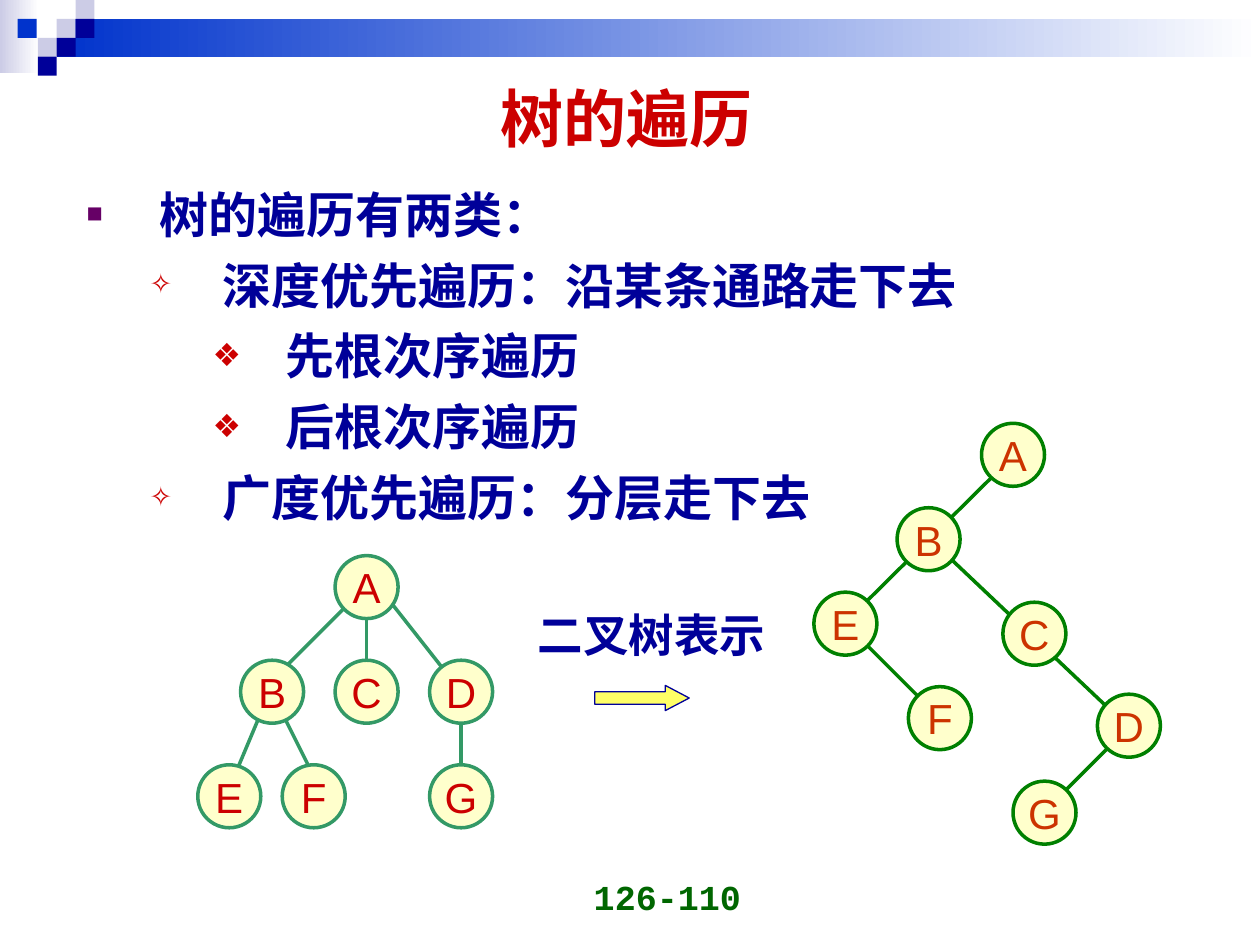
from dataclasses import dataclass

from lxml import etree
from pptx import Presentation
from pptx.dml.color import RGBColor
from pptx.enum.shapes import MSO_CONNECTOR, MSO_SHAPE
from pptx.enum.text import MSO_ANCHOR, PP_ALIGN
from pptx.oxml.ns import qn
from pptx.shapes.autoshape import Shape
from pptx.slide import Slide
from pptx.text.text import TextFrame, _Paragraph
from pptx.util import Inches, Pt

RECT, OVAL, ARROW = MSO_SHAPE.RECTANGLE, MSO_SHAPE.OVAL, MSO_SHAPE.RIGHT_ARROW
STRAIGHT = MSO_CONNECTOR.STRAIGHT
TOP, MIDDLE, BOTTOM = MSO_ANCHOR.TOP, MSO_ANCHOR.MIDDLE, MSO_ANCHOR.BOTTOM
LEFT, CENTER, RIGHT = PP_ALIGN.LEFT, PP_ALIGN.CENTER, PP_ALIGN.RIGHT

WHITE = RGBColor(0xFF, 0xFF, 0xFF)
LILAC = RGBColor(0xCC, 0xCC, 0xE6)
BLUE = RGBColor(0x00, 0x33, 0xCC)
NAVY = RGBColor(0x00, 0x00, 0x99)
RED = RGBColor(0xCC, 0x00, 0x00)
RUST = RGBColor(0xCC, 0x33, 0x00)
PURPLE = RGBColor(0x66, 0x00, 0x66)
FOREST = RGBColor(0x00, 0x66, 0x00)
GREEN = RGBColor(0x00, 0x80, 0x00)
JADE = RGBColor(0x33, 0x99, 0x66)
CREAM = RGBColor(0xFF, 0xFF, 0xCC)
YELLOW = RGBColor(0xFF, 0xFF, 0x66)

SANS, SERIF, MONO = "Arial", "Times New Roman", "Courier New"
NODE = 0.5
TILE = 0.15

Box = tuple[float, float, float, float]


@dataclass
class Style:
    size: float
    face: str
    color: RGBColor
    bold: bool = True


@dataclass
class Mark:
    char: str
    color: RGBColor
    scale: int
    face: str


@dataclass
class Tree:
    nodes: dict[str, tuple[float, float]]
    edges: list[Box]
    line: RGBColor
    text: RGBColor


MARKS = [
    Mark("■", PURPLE, 55, SANS),
    Mark("✧", RED, 55, SERIF),
    Mark("❖", RED, 65, SERIF),
]

POINTS = [
    (0, "树的遍历有两类："),
    (1, "深度优先遍历：沿某条通路走下去"),
    (2, "先根次序遍历"),
    (2, "后根次序遍历"),
    (1, "广度优先遍历：分层走下去"),
]

TILES = [
    (0.45, 0.15, LILAC), (0.6, 0, LILAC), (0.6, 0.15, NAVY), (0.3, 0.3, LILAC),
    (0.14, 0.15, BLUE), (0.45, 0.3, NAVY), (0.3, 0.45, NAVY),
]

TREES = [
    Tree(
        {"A": (2.66, 4.41), "B": (1.91, 5.24), "C": (2.66, 5.24), "D": (3.41, 5.24),
         "E": (1.57, 6.07), "F": (2.24, 6.07), "G": (3.41, 6.07)},
        [(3.66, 5.66, 3.66, 6.24), (3.07, 4.74, 3.66, 5.49), (2.24, 5.66, 2.49, 6.16),
         (2.07, 5.66, 1.86, 6.16), (2.74, 4.82, 2.24, 5.32), (2.91, 4.82, 2.91, 5.32)],
        JADE, RED,
    ),
    Tree(
        {"A": (7.79, 3.36), "B": (7.12, 4.03), "C": (7.96, 4.78), "D": (8.71, 5.51),
         "E": (6.46, 4.7), "F": (7.21, 5.45), "G": (8.04, 6.2)},
        [(6.79, 5.03, 7.29, 5.53), (8.87, 5.86, 8.37, 6.36),
         (7.96, 3.7, 6.79, 4.86), (7.54, 4.43, 8.87, 5.69)],
        GREEN, RUST,
    ),
]


def dress(para: _Paragraph, style: Style, align: PP_ALIGN = LEFT) -> None:
    para.alignment = align
    for run in para.runs:
        font = run.font
        font.size, font.name, font.bold = Pt(style.size), style.face, style.bold
        font.color.rgb = style.color


def write(frame: TextFrame, text: str, style: Style, align: PP_ALIGN, anchor: MSO_ANCHOR) -> None:
    frame.text = text
    frame.vertical_anchor = anchor
    dress(frame.paragraphs[0], style, align)


def add_text(slide: Slide, box: Box, text: str, style: Style, align: PP_ALIGN, anchor: MSO_ANCHOR) -> None:
    frame = slide.shapes.add_textbox(*map(Inches, box)).text_frame
    frame.word_wrap = True
    write(frame, text, style, align, anchor)


def add_form(slide: Slide, kind: MSO_SHAPE, box: Box, fill: RGBColor,
             line: RGBColor | None = None, width: float = 2) -> Shape:
    form = slide.shapes.add_shape(kind, *map(Inches, box))
    form.shadow.inherit = False
    form.fill.solid()
    form.fill.fore_color.rgb = fill
    if line is None:
        form.line.fill.background()
    else:
        form.line.color.rgb = line
        form.line.width = Pt(width)
    return form


def add_fade(slide: Slide, box: Box, color: RGBColor) -> None:
    fill = add_form(slide, RECT, box, color).fill
    fill.gradient()
    fill.gradient_angle = 0
    for stop, tint in zip(fill.gradient_stops, (color, WHITE)):
        stop.color.rgb = tint


def add_edge(slide: Slide, ends: Box, color: RGBColor) -> None:
    edge = slide.shapes.add_connector(STRAIGHT, *map(Inches, ends))
    edge.line.color.rgb = color
    edge.line.width = Pt(2)
    etree.SubElement(edge._element.spPr, qn("a:effectLst"))


def add_tree(slide: Slide, tree: Tree) -> None:
    for ends in tree.edges:
        add_edge(slide, ends, tree.line)
    style = Style(24, SANS, tree.text, False)
    for name, (x, y) in tree.nodes.items():
        frame = add_form(slide, OVAL, (x, y, NODE, NODE), CREAM, tree.line).text_frame
        frame.margin_left = frame.margin_right = frame.margin_top = frame.margin_bottom = 0
        frame.word_wrap = False
        write(frame, name, style, CENTER, MIDDLE)


def add_mark(para: _Paragraph, level: int, mark: Mark) -> None:
    props = para._p.get_or_add_pPr()
    props.set("marL", str(Inches(0.58 + 0.5 * level)))
    props.set("indent", str(Inches(-0.58)))
    tint = etree.SubElement(props, qn("a:buClr"))
    etree.SubElement(tint, qn("a:srgbClr"), val=str(mark.color))
    etree.SubElement(props, qn("a:buSzPct"), val=str(mark.scale * 1000))
    etree.SubElement(props, qn("a:buFont"), typeface=SANS)
    etree.SubElement(props, qn("a:buChar"), char=mark.char)


def add_points(slide: Slide, box: Box) -> None:
    frame = slide.shapes.add_textbox(*map(Inches, box)).text_frame
    frame.word_wrap = True
    frame.text = "\n".join(text for _, text in POINTS)
    for i, (para, (level, _)) in enumerate(zip(frame.paragraphs, POINTS)):
        mark = MARKS[level]
        add_mark(para, level, mark)
        para.level = level
        para.line_spacing = 1.05
        if i:
            para.space_before = Pt(5.2)
        dress(para, Style(28, mark.face, NAVY))


def main() -> None:
    deck = Presentation()
    deck.slide_width, deck.slide_height = Inches(10), Inches(7.5)
    slide = deck.slides.add_slide(deck.slide_layouts[5])

    add_fade(slide, (0, 0, 0.31, 0.58), LILAC)
    add_fade(slide, (0.45, 0.15, 9.55, 0.3), BLUE)
    for x, y, color in TILES:
        add_form(slide, RECT, (x, y, TILE, TILE), color)

    title = slide.shapes.title
    title.left, title.top, title.width, title.height = map(Inches, (0.47, 0.44, 9, 0.98))
    write(title.text_frame, "树的遍历", Style(36, SERIF, RED), CENTER, MIDDLE)

    add_points(slide, (0.59, 1.39, 9, 6.02))
    for tree in TREES:
        add_tree(slide, tree)
    arrow = add_form(slide, ARROW, (4.72, 5.44, 0.75, 0.2), YELLOW, NAVY, 0.75)
    arrow.adjustments[0], arrow.adjustments[1] = 0.5, 0.95
    add_text(slide, (4.17, 4.77, 2.32, 0.54), "二叉树表示", Style(26, SERIF, NAVY), LEFT, TOP)
    add_text(slide, (3.65, 6.83, 2.33, 0.5), "126-110", Style(20, MONO, FOREST), RIGHT, BOTTOM)
    deck.save("out.pptx")


if __name__ == "__main__":
    main()
